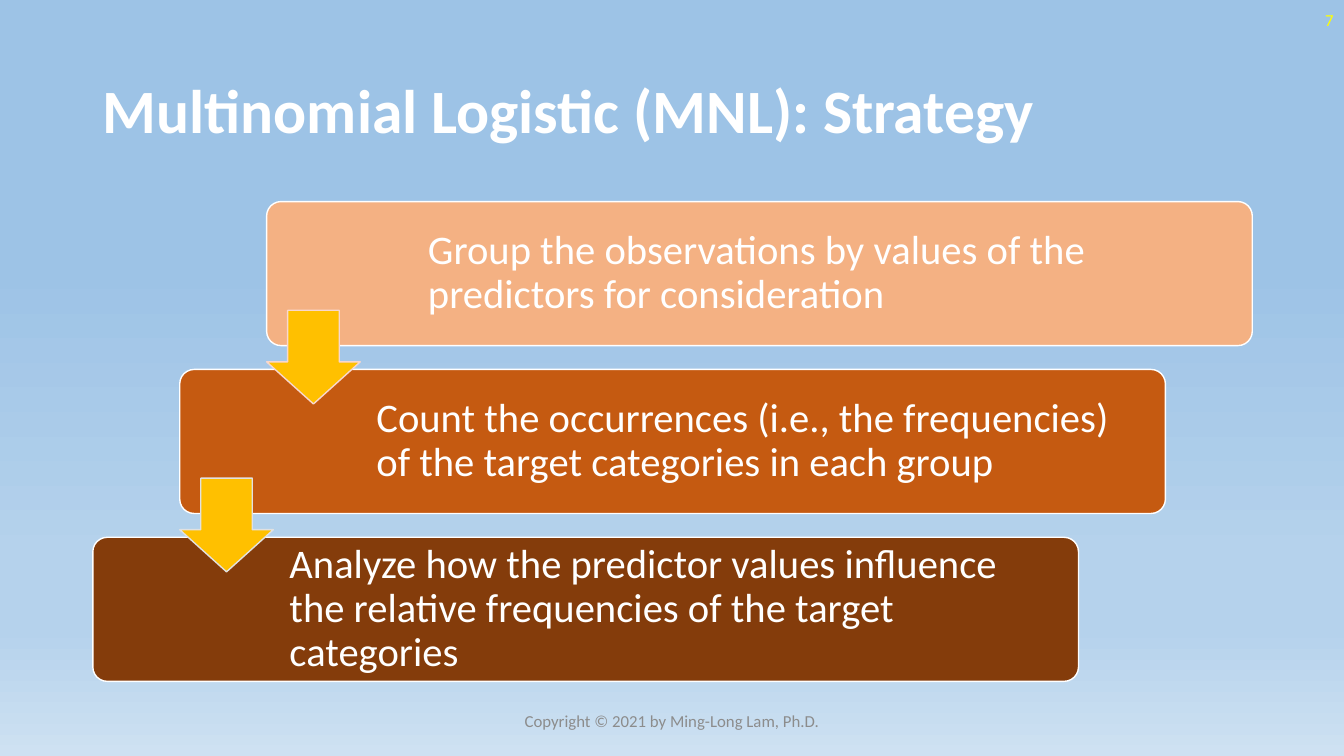
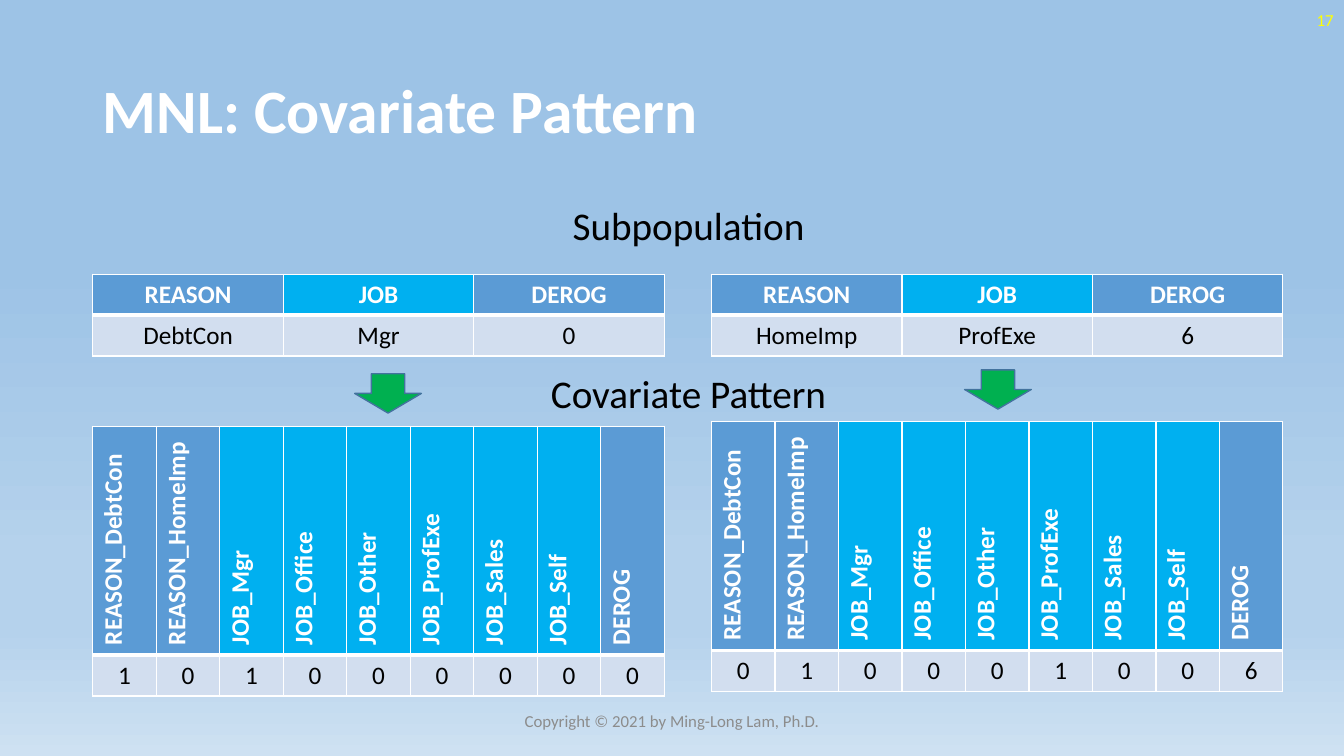
import lxml.etree
import pptx
import pptx.dml.color
import pptx.enum.shapes
import pptx.enum.text
import pptx.oxml.ns
import pptx.util

Cm = pptx.util.Cm
Pt = pptx.util.Pt
qn = pptx.oxml.ns.qn
Align = pptx.enum.text.PP_ALIGN
Shape = pptx.enum.shapes.MSO_SHAPE

COLORS = {
    "white": "FFFFFF", "black": "000000", "yellow": "FFFF00", "gray": "8C8C8C",
    "sky": "9DC3E6", "mist": "B5D2EC", "haze": "CEE1F2",
    "peach": "F4B183", "orange": "C55A11", "brown": "843C0B",
    "gold": "FFC000", "blush": "F8D7CE", "silver": "E1E1E1",
    "blue": "5B9BD5", "cyan": "00B0F0", "pale": "D2DEEF",
    "green": "00B050", "navy": "43739E",
}
FONT = "Calibri"
LEFT = 2.34


def write(frame, text, size=18, color="black", bold=False, align=Align.LEFT,
          spacing=None, before=0, new=False):
    para = frame.add_paragraph() if new else frame.paragraphs[0]
    para.alignment = align
    para.space_before = Pt(before)
    if spacing:
        para.line_spacing = spacing
    span = para.add_run()
    span.text = text
    span.font.name = FONT
    span.font.size = Pt(size)
    span.font.bold = bold
    span.font.color.rgb = pptx.dml.color.RGBColor.from_string(COLORS[color])
    return para


def add_box(page, kind, left, top, width, height, fill, line):
    box = page.shapes.add_shape(kind, Cm(left), Cm(top), Cm(width), Cm(height))
    box.shadow.inherit = False
    box.fill.solid()
    box.fill.fore_color.rgb = pptx.dml.color.RGBColor.from_string(COLORS[fill])
    box.line.color.rgb = pptx.dml.color.RGBColor.from_string(COLORS[line])
    box.line.width = Pt(1)
    return box


deck = pptx.Presentation()
deck.slide_width = Cm(33.87)
deck.slide_height = Cm(19.05)

backdrop = deck.slide_master.background.fill
backdrop.gradient()
backdrop.gradient_angle = 270
stop_list = deck.slide_master.element.xpath(".//p:bg//a:gsLst")[0]
for stop in list(stop_list):
    stop_list.remove(stop)
for position, color in [(35, "sky"), (74, "mist"), (83, "mist"), (100, "haze")]:
    stop = lxml.etree.SubElement(stop_list, qn("a:gs"), pos=str(position * 1000))
    lxml.etree.SubElement(stop, qn("a:srgbClr"), val=COLORS[color])

pages = []
for layout, title, number in [
    (5, "Multinomial Logistic (MNL): Strategy", "7"),
    (1, "MNL: Covariate Pattern", "17"),
]:
    page = deck.slides.add_slide(deck.slide_layouts[layout])
    pages.append(page)
    heading = page.shapes.title
    heading.left, heading.top = Cm(LEFT), Cm(1.02)
    heading.width, heading.height = Cm(29.21), Cm(3.68)
    heading.text_frame.auto_size = pptx.enum.text.MSO_AUTO_SIZE.NONE
    heading.text_frame.vertical_anchor = pptx.enum.text.MSO_ANCHOR.MIDDLE
    write(heading.text_frame, title, size=44, color="white", bold=True, spacing=0.9)
    for text, left, top, width, color, align in [
        (number, 26.24, 0, 7.62, "yellow", Align.RIGHT),
        ("Copyright © 2021 by Ming-Long Lam, Ph.D.", 11.22, 17.65, 11.43, "gray", Align.CENTER),
    ]:
        label = page.shapes.add_textbox(Cm(left), Cm(top), Cm(width), Cm(1.02))
        label.text_frame.word_wrap = True
        label.text_frame.vertical_anchor = pptx.enum.text.MSO_ANCHOR.MIDDLE
        write(label.text_frame, text, size=12, color=color, align=align)

strategy, covariate = pages

STEP_TOP, STEP_RISE, STEP_SHIFT = 5.08, 4.23, 2.19
steps = [
    ("Group the observations by values of the predictors for consideration", "peach", 3.96),
    ("Count the occurrences (i.e., the frequencies) of the target categories in each group", "orange", 4.85),
    ("Analyze how the predictor values influence the relative frequencies of the target categories", "brown", 4.85),
]
for index, (text, fill, indent) in enumerate(steps):
    left = LEFT + STEP_SHIFT * (len(steps) - 1 - index)
    box = add_box(strategy, Shape.ROUNDED_RECTANGLE, left, STEP_TOP + STEP_RISE * index,
                  24.84, 3.63, fill, "white")
    box.adjustments[0] = 0.1
    frame = box.text_frame
    frame.word_wrap = True
    frame.vertical_anchor = pptx.enum.text.MSO_ANCHOR.MIDDLE
    frame.margin_left, frame.margin_right = Cm(indent), Cm(0.32)
    frame.margin_top = frame.margin_bottom = 0
    write(frame, text, size=29, color="white", spacing=0.9)

for index, line in enumerate(["blush", "silver"]):
    left = LEFT + STEP_SHIFT * (len(steps) - 1 - index)
    arrow = add_box(strategy, Shape.DOWN_ARROW, left, STEP_TOP + 2.74 + STEP_RISE * index,
                    2.36, 2.36, "gold", line)
    arrow.adjustments[0] = 0.55
    arrow.adjustments[1] = 0.45

body = covariate.placeholders[1]
body.left, body.top, body.width, body.height = Cm(LEFT), Cm(5.08), Cm(30.02), Cm(12.09)
body.text_frame.auto_size = pptx.enum.text.MSO_AUTO_SIZE.NONE
for index, (text, before) in enumerate([("Subpopulation", 10), ("Covariate Pattern", 90)]):
    para = write(body.text_frame, text, size=28, align=Align.CENTER, spacing=0.9,
                 before=before, new=index > 0)
    properties = para._p.get_or_add_pPr()
    properties.set("marL", "0")
    properties.set("indent", "0")
    lxml.etree.SubElement(properties, qn("a:buNone"))

TABLE_WIDTH, ROW_HEIGHT = 14.4, 1.03
RIGHT = 17.93
subpopulation_names = ["REASON", "JOB", "DEROG"]
pattern_names = ["REASON_DebtCon", "REASON_HomeImp", "JOB_Mgr", "JOB_Office", "JOB_Other",
                 "JOB_ProfExe", "JOB_Sales", "JOB_Self", "DEROG"]
tables = [
    (LEFT, 10.74, 5.77, pattern_names, "101000000"),
    (RIGHT, 10.62, 5.77, pattern_names, "010001006"),
    (LEFT, 6.91, ROW_HEIGHT, subpopulation_names, ["DebtCon", "Mgr", "0"]),
    (RIGHT, 6.91, ROW_HEIGHT, subpopulation_names, ["HomeImp", "ProfExe", "6"]),
]
for left, top, header_height, names, values in tables:
    holder = covariate.shapes.add_table(2, len(names), Cm(left), Cm(top), Cm(TABLE_WIDTH),
                                        Cm(header_height + ROW_HEIGHT))
    table = holder.table
    table.rows[0].height, table.rows[1].height = Cm(header_height), Cm(ROW_HEIGHT)
    upright = header_height > ROW_HEIGHT
    for column, name in enumerate(names):
        table.columns[column].width = Cm(TABLE_WIDTH / len(names))
        for row, text in enumerate([name, values[column]]):
            is_header = row == 0
            cell = table.cell(row, column)
            cell.vertical_anchor = pptx.enum.text.MSO_ANCHOR.MIDDLE
            properties = cell._tc.get_or_add_tcPr()
            if is_header and upright:
                properties.set("vert", "vert270")
            for side in ["lnL", "lnR", "lnT", "lnB"]:
                shared_edge = side == ("lnB" if is_header else "lnT")
                border = lxml.etree.SubElement(properties, qn("a:" + side),
                                               w=str(Pt(3 if shared_edge else 1)))
                paint = lxml.etree.SubElement(border, qn("a:solidFill"))
                lxml.etree.SubElement(paint, qn("a:srgbClr"), val=COLORS["white"])
            header_fill = "cyan" if name.startswith("JOB") else "blue"
            cell.fill.solid()
            cell.fill.fore_color.rgb = pptx.dml.color.RGBColor.from_string(
                COLORS[header_fill if is_header else "pale"])
            write(cell.text_frame, text, color="white" if is_header else "black", bold=is_header,
                  align=Align.LEFT if is_header and upright else Align.CENTER)

for left, top in [(8.94, 9.42), (24.31, 9.32)]:
    add_box(covariate, Shape.DOWN_ARROW, left, top, 1.68, 0.99, "green", "navy")

deck.save("out.pptx")
